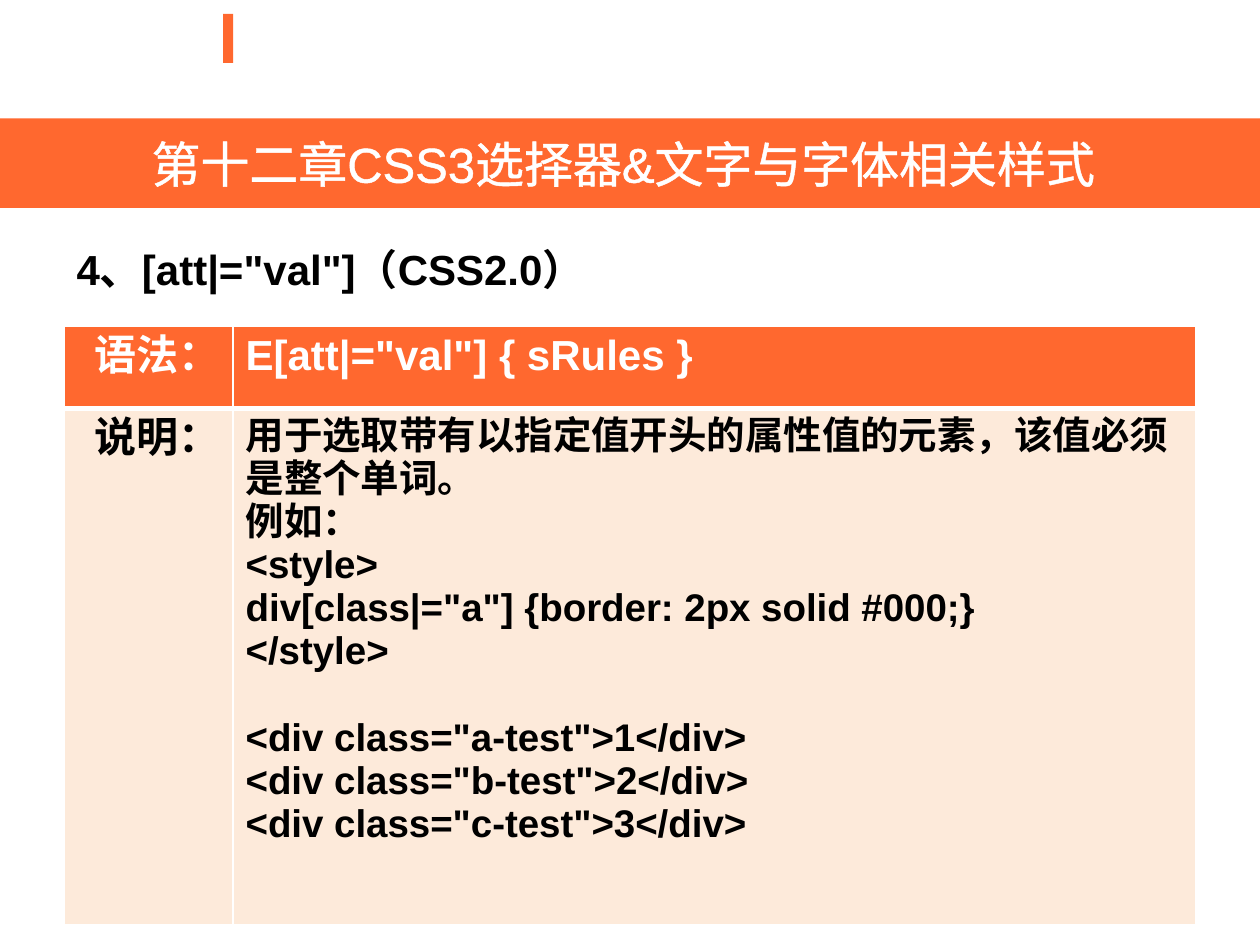
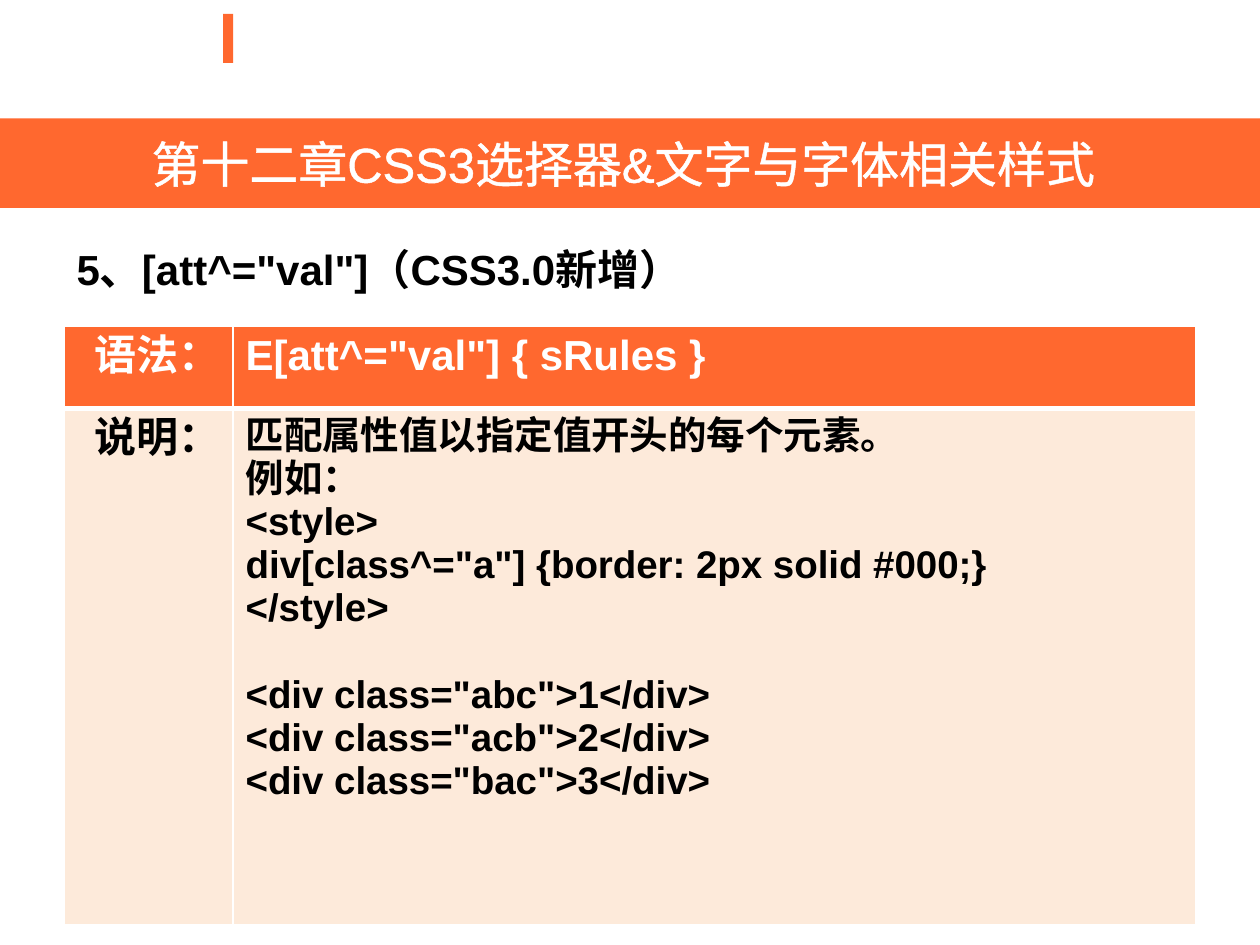
from pptx import Presentation
from pptx import util as u
from pptx.dml.color import RGBColor
from pptx.enum import lang, shapes, text
from pptx.oxml import parse_xml
from pptx.oxml.ns import nsdecls

CHAPTER = "第十二章CSS3选择器&文字与字体相关样式\u00a0"
SYNTAX, DESCRIPTION = "语法：", "说明："

LESSONS = [
    {
        "heading": '4、[att|="val"]（CSS2.0）',
        "syntax": 'E[att|="val"] { sRules }',
        "description": ["用于选取带有以指定值开头的属性值的元素，该值必须是整个单词。", "例如："],
        "style": ["<style>", 'div[class|="a"] {border: 2px solid #000;}', "</style>"],
        "markup": [
            '<div class="a-test">1</div>',
            '<div class="b-test">2</div>',
            '<div class="c-test">3</div>',
        ],
    },
    {
        "heading": '5、[att^="val"]（CSS3.0新增）',
        "syntax": 'E[att^="val"] { sRules }',
        "description": ["匹配属性值以指定值开头的每个元素。", "例如："],
        "style": ["<style>", 'div[class^="a"] {border: 2px solid #000;}', "</style>"],
        "markup": [
            '<div class="abc">1</div>',
            '<div class="acb">2</div>',
            '<div class="bac">3</div>',
        ],
    },
]

FONT = "Arial"
ORANGE, PEACH, WHITE, BLACK = "FF682F", "FDEADA", "FFFFFF", "000000"
ACCENT_AT = (1.77, 0.11, 0.08, 0.39)
BAND_AT = (0, 0.94, 10, 0.71)
HEADING_AT = (0.51, 1.88, 9, 4.72)
TABLE_AT = (0.51, 2.59, 8.98, 4.75)
COLUMNS, ROWS = (1.34, 7.64), (0.65, 4.1)
TITLE_SIZE, HEAD_SIZE, BODY_SIZE = 28, 24, 22
BLOCK_GAP = 25  # one line of body text
CENTER, LEFT, RIGHT = text.PP_ALIGN.CENTER, text.PP_ALIGN.LEFT, text.PP_ALIGN.RIGHT


def color(value):
    return RGBColor.from_string(value)


def inches(values):
    return [u.Inches(value) for value in values]


def paint(target, value):
    target.fill.solid()
    target.fill.fore_color.rgb = color(value)


def write(frame, lines, size, ink, bold=True, align=LEFT, gaps=None):
    """Write one paragraph per line; gaps maps a line number to its space before."""
    for number, line in enumerate(lines):
        para = frame.paragraphs[0] if number == 0 else frame.add_paragraph()
        para.alignment = align
        para.space_before = u.Pt((gaps or {}).get(number, 0))
        span = para.add_run()
        span.text = line
        formats = {"name": FONT, "size": u.Pt(size), "bold": bold,
                   "language_id": lang.MSO_LANGUAGE_ID.SIMPLIFIED_CHINESE}
        for name, value in formats.items():
            setattr(span.font, name, value)
        span.font.color.rgb = color(ink)
        latin = span.font._element.find("{*}latin")
        latin.addnext(parse_xml(f'<a:ea {nsdecls("a")} typeface="{FONT}"/>'))


def white_line(tag, points):
    return parse_xml(
        f'<a:{tag} {nsdecls("a")} w="{u.Pt(points)}"><a:solidFill>'
        f'<a:srgbClr val="{WHITE}"/></a:solidFill></a:{tag}>')


def add_accent(page):
    accent = page.shapes.add_shape(shapes.MSO_SHAPE.RECTANGLE, *inches(ACCENT_AT))
    accent.shadow.inherit = False
    paint(accent, ORANGE)
    accent.line.fill.background()


def format_title(page):
    title = page.shapes.title
    title.left, title.top, title.width, title.height = inches(BAND_AT)
    paint(title, ORANGE)
    frame = title.text_frame
    frame.auto_size = text.MSO_AUTO_SIZE.NONE
    frame.vertical_anchor = text.MSO_ANCHOR.MIDDLE
    write(frame, [CHAPTER], TITLE_SIZE, WHITE, bold=False, align=CENTER)
    span = frame.paragraphs[0].runs[0]
    span.font._element.insert(0, white_line("ln", 1.45))


def add_heading(page, heading):
    box = page.shapes.add_textbox(*inches(HEADING_AT))
    box.text_frame.word_wrap = True
    write(box.text_frame, [heading], HEAD_SIZE, BLACK, gaps={0: 6})


def fill_cell(cell, background, borders, lines, size, ink, **options):
    properties = cell._tc.get_or_add_tcPr()
    for side, points in zip("LRTB", borders):
        properties.append(white_line(f"ln{side}", points))
    paint(cell, background)
    write(cell.text_frame, lines, size, ink, **options)


def add_rule_table(page, lesson):
    table = page.shapes.add_table(len(ROWS), len(COLUMNS), *inches(TABLE_AT)).table
    for column, width in zip(table.columns, inches(COLUMNS)):
        column.width = width
    for row, height in zip(table.rows, inches(ROWS)):
        row.height = height

    opening = lesson["description"] + lesson["style"]
    details = opening + lesson["markup"]
    rows = [
        (SYNTAX, [lesson["syntax"]], HEAD_SIZE, WHITE, ORANGE, (1, 1, 1, 3), None),
        (DESCRIPTION, details, BODY_SIZE, BLACK, PEACH, (1, 1, 3, 1),
         {len(opening): BLOCK_GAP}),
    ]
    for number, (label, lines, size, ink, background, borders, gaps) in enumerate(rows):
        fill_cell(table.cell(number, 0), background, borders, [label], HEAD_SIZE, ink,
                  align=RIGHT)
        fill_cell(table.cell(number, 1), background, borders, lines, size, ink, gaps=gaps)


def main():
    deck = Presentation()
    deck.slide_width, deck.slide_height = inches((10, 7.5))
    title_only = deck.slide_layouts[5]
    for lesson in LESSONS:
        page = deck.slides.add_slide(title_only)
        add_accent(page)
        format_title(page)
        add_heading(page, lesson["heading"])
        add_rule_table(page, lesson)
    deck.save("out.pptx")


if __name__ == "__main__":
    main()
